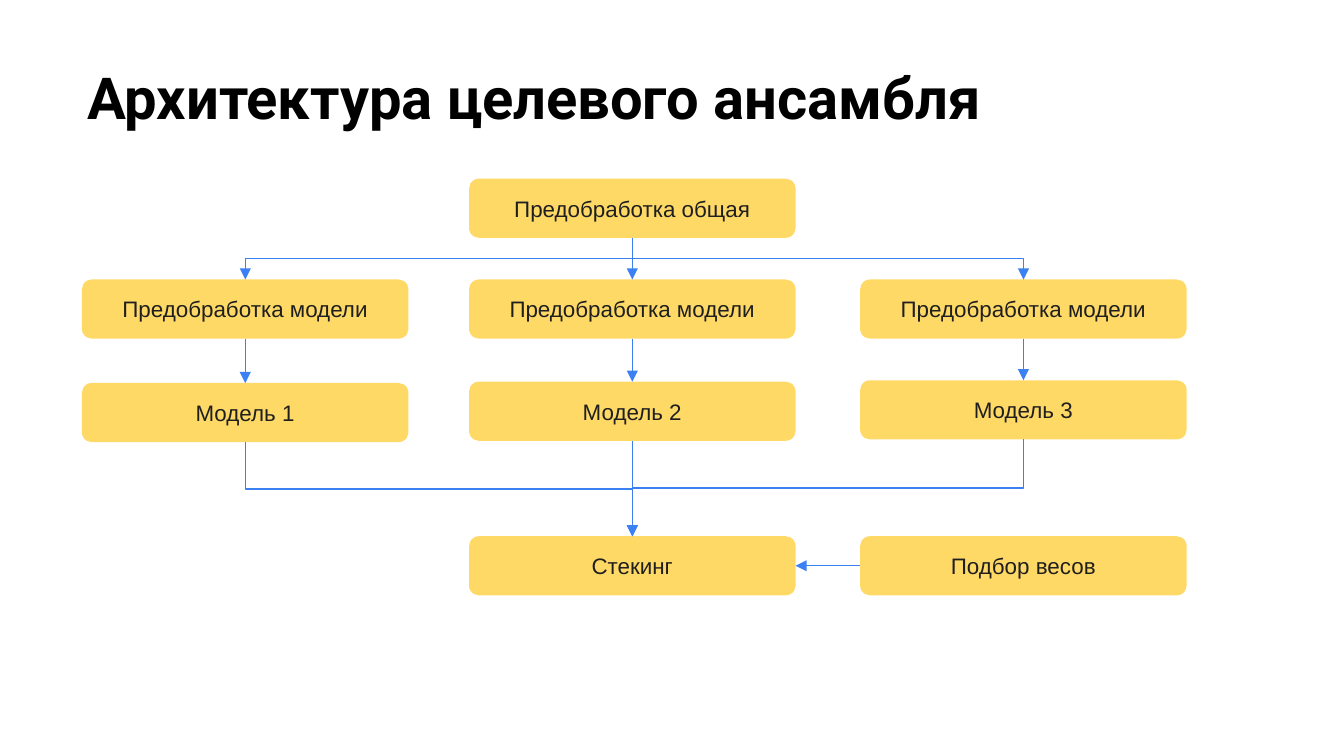
from dataclasses import dataclass

from lxml.etree import SubElement
from pptx import Presentation
from pptx.dml.color import RGBColor
from pptx.enum.shapes import MSO_CONNECTOR, MSO_SHAPE
from pptx.enum.text import MSO_ANCHOR, PP_ALIGN
from pptx.oxml.ns import qn
from pptx.util import Inches, Pt

TOP, LEFT, BOTTOM, RIGHT = range(4)


@dataclass(frozen=True)
class Theme:
    """Colours, fonts and sizes of the diagram."""

    title_color: RGBColor = RGBColor(0x00, 0x00, 0x00)
    text_color: RGBColor = RGBColor(0x1F, 0x1F, 0x1F)
    box_color: RGBColor = RGBColor(0xFF, 0xD9, 0x66)
    arrow_color: RGBColor = RGBColor(0x3C, 0x81, 0xF3)
    title_font: str = "Roboto"
    body_font: str = "Arial"
    title_size: Pt = Pt(31)
    body_size: Pt = Pt(12)
    arrow_width: Pt = Pt(0.75)
    box_width: float = 2.43
    box_height: float = 0.44


class Diagram:
    """Draws titles, boxes and arrows on one page."""

    def __init__(self, page, theme):
        self.page = page
        self.theme = theme

    def title(self, text, left, top, width, height):
        box = self.page.shapes.add_textbox(
            Inches(left), Inches(top), Inches(width), Inches(height))
        frame = box.text_frame
        frame.word_wrap = True
        frame.margin_left = frame.margin_right = Inches(0.1)
        frame.margin_top = frame.margin_bottom = Inches(0.1)
        frame.text = text
        font = frame.paragraphs[0].font
        font.name, font.size, font.bold = self.theme.title_font, self.theme.title_size, True
        font.color.rgb = self.theme.title_color

    def box(self, text, left, top):
        box = self.page.shapes.add_shape(
            MSO_SHAPE.ROUNDED_RECTANGLE, Inches(left), Inches(top),
            Inches(self.theme.box_width), Inches(self.theme.box_height))
        box.shadow.inherit = False
        box.fill.solid()
        box.fill.fore_color.rgb = self.theme.box_color
        box.line.fill.background()
        frame = box.text_frame
        frame.word_wrap = True
        frame.vertical_anchor = MSO_ANCHOR.MIDDLE
        frame.margin_left = frame.margin_right = Inches(0.18)
        frame.margin_top = frame.margin_bottom = Inches(0.1)
        frame.text = text
        para = frame.paragraphs[0]
        para.alignment = PP_ALIGN.CENTER
        para.font.name, para.font.size = self.theme.body_font, self.theme.body_size
        para.font.color.rgb = self.theme.text_color
        return box

    def arrow(self, source, target, start=BOTTOM, end=TOP):
        bent = start == BOTTOM and source.left != target.left
        kind = MSO_CONNECTOR.ELBOW if bent else MSO_CONNECTOR.STRAIGHT
        arrow = self.page.shapes.add_connector(kind, 0, 0, 0, 0)
        arrow.begin_connect(source, start)
        arrow.end_connect(target, end)
        if bent:
            self.turn_down(arrow)
        arrow.line.color.rgb = self.theme.arrow_color
        arrow.line.width = self.theme.arrow_width
        SubElement(arrow.line._get_or_add_ln(), qn("a:tailEnd"), type="triangle")
        SubElement(arrow._element.spPr, qn("a:effectLst"))

    def turn_down(self, arrow):
        """Rotate an elbow so that it leaves and arrives vertically."""
        across, down = arrow.width, arrow.height
        center_x, center_y = arrow.left + across // 2, arrow.top + down // 2
        rightward = arrow.end_x > arrow.begin_x
        arrow.left, arrow.top = center_x - down // 2, center_y - across // 2
        arrow.width, arrow.height = down, across
        frame = arrow._element.spPr.find(qn("a:xfrm"))
        frame.set("rot", str((270 if rightward else 90) * 60000))
        frame.set("flipH", "1" if rightward else "0")


def main():
    """Build the ensemble architecture slide."""
    deck = Presentation()
    deck.slide_width = Inches(10)
    deck.slide_height = deck.slide_width * 9 // 16
    page = deck.slides.add_slide(deck.slide_layouts[6])
    diagram = Diagram(page, Theme())
    diagram.title("Архитектура целевого ансамбля", 0.55, 0.36, 9.32, 1.2)

    columns = (0.61, 3.49, 6.4)
    model_tops = (2.85, 2.84, 2.83)
    common = diagram.box("Предобработка общая", columns[1], 1.33)
    stacking = diagram.box("Стекинг", columns[1], 3.99)
    weights = diagram.box("Подбор весов", columns[2], 3.99)
    for number, (left, top) in enumerate(zip(columns, model_tops), 1):
        preparation = diagram.box("Предобработка модели", left, 2.08)
        model = diagram.box(f"Модель {number}", left, top)
        diagram.arrow(common, preparation)
        diagram.arrow(preparation, model)
        diagram.arrow(model, stacking)
    diagram.arrow(weights, stacking, LEFT, RIGHT)

    deck.save("out.pptx")


if __name__ == "__main__":
    main()
